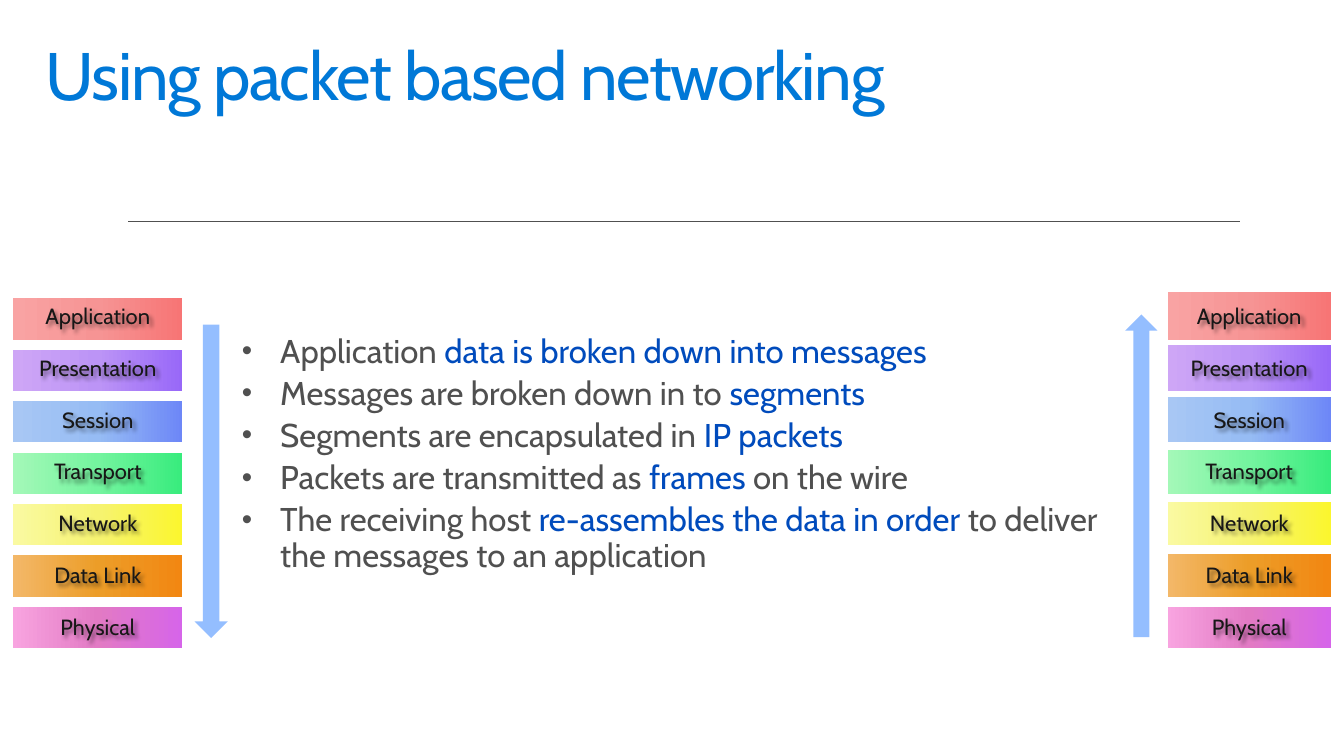
import copy

import lxml.etree
import pptx
import pptx.dml.color
import pptx.enum.shapes
import pptx.enum.text
import pptx.oxml
import pptx.oxml.ns
import pptx.util

# Content
TITLE = "Using packet based networking"
BULLETS = [
    [("Application ", "body"), ("data is broken down into messages", "key")],
    [("Messages are broken down in to ", "body"), ("segments", "key")],
    [("Segments are encapsulated in ", "body"), ("IP packets", "key")],
    [("Packets are transmitted as ", "body"), ("frames", "key"), (" on the wire", "body")],
    [("The receiving host ", "body"), ("re-assembles the data in order ", "key"),
     ("to deliver the messages to an application", "body")],
]
LAYERS = [
    ("Application", ("F9A3A3", "F69494", "F77575")),
    ("Presentation", ("CEA6F6", "BC94F6", "9868F8")),
    ("Session", ("A8C7F4", "96BCF4", "6D87F7")),
    ("Transport", ("A4F8B8", "74F49F", "38EC7D")),
    ("Network", ("FAFAA2", "F6F371", "FBF62E")),
    ("Data Link", ("F3B869", "EC9D28", "F28712")),
    ("Physical", ("F8A4E0", "E27AC4", "D665E9")),
]
COLORS = {"title": "0078D7", "body": "505050", "key": "004BBC",
          "label": "171717", "arrow": "94BEFF", "rule": "505050"}
FONT = "Cabin"

# Each stack: left, width, first top, row step, first height, height lost per row
STACKS = [
    {"left": 0.13, "width": 1.68, "top": 2.96, "step": 0.51, "height": 0.41, "shrink": 0},
    {"left": 11.58, "width": 1.62, "top": 2.9, "step": 0.52, "height": 0.47, "shrink": 0.01},
]
LABEL_TOP, LABEL_HEIGHT, LABEL_STEP = 2.84, 0.62, 3.08 / 6
SHAPE = pptx.enum.shapes.MSO_SHAPE
ARROWS = [(SHAPE.DOWN_ARROW, (1.93, 3.22, 0.33, 3.11)),
          (SHAPE.UP_ARROW, (11.16, 3.12, 0.32, 3.2))]
SHADOW = (
    '<a:effectLst xmlns:a="http://schemas.openxmlformats.org/drawingml/2006/main">'
    '<a:outerShdw blurRad="38100" dist="38100" dir="2700000" algn="tl">'
    '<a:srgbClr val="000000"><a:alpha val="43000"/></a:srgbClr>'
    '</a:outerShdw></a:effectLst>')


def inches(*lengths):
    return [pptx.util.Inches(length) for length in lengths]


def rgb(name):
    return pptx.dml.color.RGBColor.from_string(COLORS.get(name, name))


def add_element(parent, tag, **attributes):
    return lxml.etree.SubElement(parent, pptx.oxml.ns.qn(tag), **attributes)


def add_box(shapes, place, side, edge):
    box = shapes.add_textbox(*inches(*place))
    frame = box.text_frame
    frame.word_wrap = True
    frame.margin_left = frame.margin_right = pptx.util.Inches(side)
    frame.margin_top = frame.margin_bottom = pptx.util.Inches(edge)
    return box


def add_span(para, text, size, color):
    para.line_spacing = 0.9
    span = para.add_run()
    span.text = text
    span.font.name = FONT
    span.font.size = pptx.util.Pt(size)
    span.font.color.rgb = rgb(color)
    return span


def add_band(shapes, place, colors):
    band = shapes.add_shape(SHAPE.RECTANGLE, *inches(*place))
    band.shadow.inherit = False
    band.line.fill.background()
    band.fill.gradient()
    band.fill.gradient_angle = 0
    first = band._element.spPr.find(".//" + pptx.oxml.ns.qn("a:gs"))
    first.addnext(copy.deepcopy(first))
    for index, (stop, color) in enumerate(zip(band.fill.gradient_stops, colors)):
        stop.position = index / 2
        stop.color.rgb = rgb(color)


def add_stack(page, stack):
    shapes = page.shapes.add_group_shape().shapes
    for row, (name, colors) in enumerate(LAYERS):
        top = stack["top"] + row * stack["step"]
        height = stack["height"] - row * stack["shrink"]
        add_band(shapes, (stack["left"], top, stack["width"], height), colors)
        place = (stack["left"], LABEL_TOP + row * LABEL_STEP, stack["width"], LABEL_HEIGHT)
        label = add_box(shapes, place, 0.2, 0.16)
        label._element.spPr.append(pptx.oxml.parse_xml(SHADOW))
        label.text_frame.vertical_anchor = pptx.enum.text.MSO_ANCHOR.MIDDLE
        para = label.text_frame.paragraphs[0]
        para.alignment = pptx.enum.text.PP_ALIGN.CENTER
        add_span(para, name, 15.7, "label")


def add_bullets(page):
    frame = add_box(page.shapes, (2.24, 3.22, 8.9, 2.65), 0.16, 0.1).text_frame
    indent = pptx.util.Inches(0.38)
    for index, spans in enumerate(BULLETS):
        para = frame.add_paragraph() if index else frame.paragraphs[0]
        if index:
            para.space_before = pptx.util.Pt(4.7)
        para.line_spacing = 0.9
        settings = para._p.get_or_add_pPr()
        settings.set("marL", str(indent))
        settings.set("indent", str(-indent))
        add_element(settings, "a:buSzPct", val="90000")
        add_element(settings, "a:buFont", typeface="Arial")
        add_element(settings, "a:buChar", char="•")
        for text, color in spans:
            add_span(para, text, 23.5, color)


def main():
    deck = pptx.Presentation()
    deck.slide_width, deck.slide_height = inches(13.33, 7.5)
    page = deck.slides.add_slide(deck.slide_layouts[6])

    # Title and rule
    title = add_box(page.shapes, (0.29, 0.32, 12.75, 0.98), 0.16, 0.1)
    span = add_span(title.text_frame.paragraphs[0], TITLE, 48, "title")
    span._r.get_or_add_rPr().set("spc", "-100")
    rule = page.shapes.add_connector(
        pptx.enum.shapes.MSO_CONNECTOR.STRAIGHT, *inches(1.27, 2.2, 12.3, 2.2))
    rule.line.color.rgb = rgb("rule")
    rule.line.width = pptx.util.Pt(0.75)
    add_element(rule._element.spPr, "a:effectLst")

    # Steps, arrows and layer stacks
    add_bullets(page)
    for kind, place in ARROWS:
        arrow = page.shapes.add_shape(kind, *inches(*place))
        arrow.shadow.inherit = False
        arrow.fill.solid()
        arrow.fill.fore_color.rgb = rgb("arrow")
        arrow.line.fill.background()
    for stack in STACKS:
        add_stack(page, stack)

    deck.save("out.pptx")


if __name__ == "__main__":
    main()
